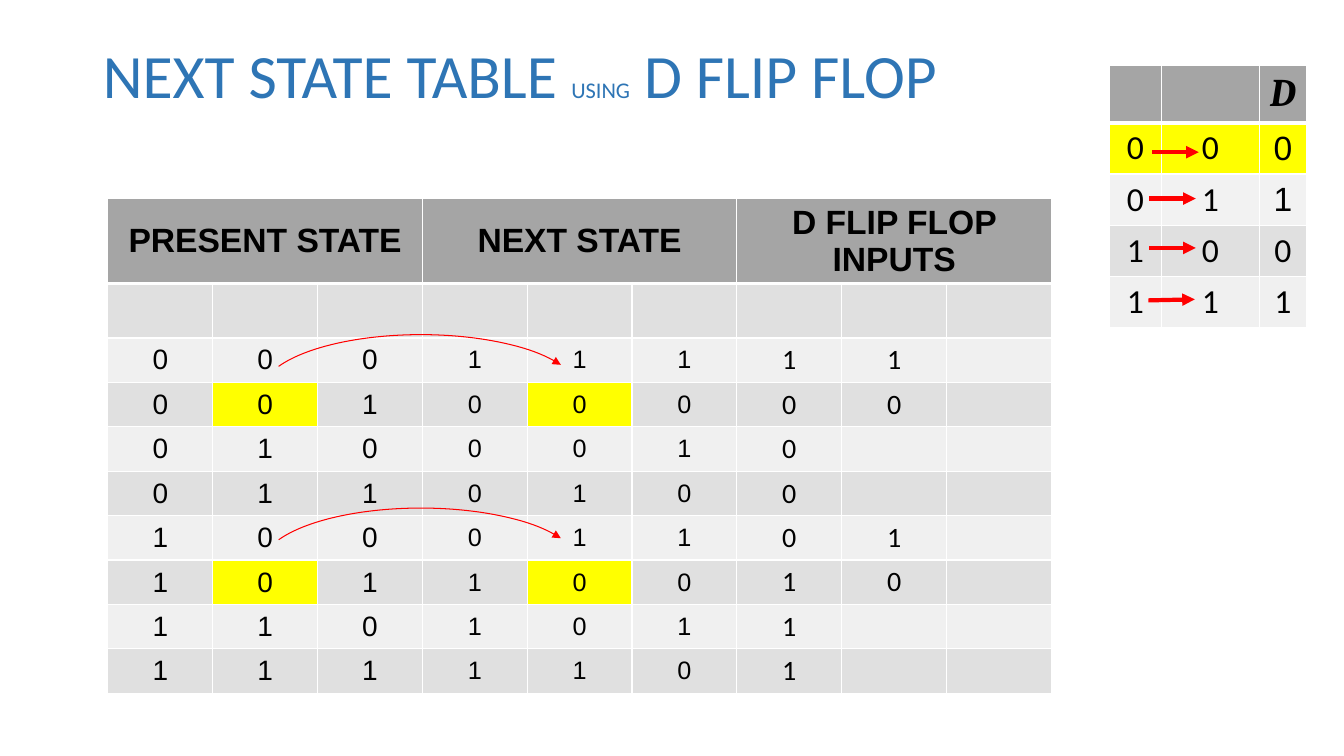
from lxml.etree import SubElement
from pptx import Presentation
from pptx.dml.color import RGBColor
from pptx.enum.shapes import MSO_CONNECTOR, MSO_SHAPE
from pptx.enum.text import MSO_ANCHOR, MSO_AUTO_SIZE, PP_ALIGN
from pptx.oxml.ns import qn
from pptx.util import Inches, Pt

COLORS = {
    "title": "2E75B5",
    "header": "A5A5A5",
    "dark": "E0E0E0",
    "light": "F0F0F0",
    "pale": "F2F2F2",
    "highlight": "FFFF00",
    "arrow": "FF0000",
    "text": "000000",
    "border": "FFFFFF",
}
SLIDE_W, SLIDE_H = 13.33, 7.5
STATE_LEFT, STATE_TOP, COL, ROW = 1.07, 1.97, 1.04, 0.44
HEADER_H, LABEL_H = 0.83, 0.54
DATA_TOP = STATE_TOP + HEADER_H + LABEL_H
RULE_LEFT, RULE_TOP, RULE_HEAD, RULE_ROW = 11, 0.65, 0.57, 0.5


def style_cell(cell, row, fill, text="", font="Calibri", size=20, bold=False):
    props = cell._tc.get_or_add_tcPr()
    widths = {"L": 1, "R": 1, "T": 3 if row == 1 else 1, "B": 3 if row == 0 else 1}
    for side, width in widths.items():
        edge = SubElement(props, qn(f"a:ln{side}"), w=str(Pt(width)))
        paint = SubElement(edge, qn("a:solidFill"))
        SubElement(paint, qn("a:srgbClr"), val=COLORS["border"])
    cell.fill.solid()
    cell.fill.fore_color.rgb = RGBColor.from_string(COLORS[fill])
    cell.vertical_anchor = MSO_ANCHOR.MIDDLE
    if text:
        paragraph = cell.text_frame.paragraphs[0]
        paragraph.alignment = PP_ALIGN.CENTER
        run = paragraph.add_run()
        run.text = text
        run.font.name, run.font.size, run.font.bold = font, Pt(size), bold
        run.font.color.rgb = RGBColor.from_string(COLORS["text"])
        return run


def style_arrow(arrow, width):
    arrow.line.color.rgb = RGBColor.from_string(COLORS["arrow"])
    arrow.line.width = Pt(width)
    SubElement(arrow.line._get_or_add_ln(), qn("a:tailEnd"), type="triangle")


deck = Presentation()
deck.slide_width, deck.slide_height = Inches(SLIDE_W), Inches(SLIDE_H)
slide = deck.slides.add_slide(deck.slide_layouts[5])

heading = slide.shapes.title
heading.left, heading.top = Inches(0.92), Inches(0.4)
heading.width, heading.height = Inches(11.5), Inches(1.45)
heading.text_frame.word_wrap = True
heading.text_frame.auto_size = MSO_AUTO_SIZE.NONE
heading.text_frame.vertical_anchor = MSO_ANCHOR.TOP
heading_line = heading.text_frame.paragraphs[0]
heading_line.alignment = PP_ALIGN.LEFT
heading_line.line_spacing = 0.9
for words, size in (("NEXT STATE TABLE ", 44), ("USING", 16), (" D FLIP FLOP", 44)):
    run = heading_line.add_run()
    run.text = words
    run.font.name, run.font.size = "Calibri", Pt(size)
    run.font.color.rgb = RGBColor.from_string(COLORS["title"])

rule_columns = (0.52, 0.97, 0.47)
rules = ("000", "011", "100", "111")
rule_fills = ("highlight", "pale", "dark", "light")
rule_table = slide.shapes.add_table(
    len(rules) + 1, len(rule_columns), Inches(RULE_LEFT), Inches(RULE_TOP),
    Inches(sum(rule_columns)), Inches(RULE_HEAD + RULE_ROW * len(rules))).table
for column, width in zip(rule_table.columns, rule_columns):
    column.width = Inches(width)
rule_table.rows[0].height = Inches(RULE_HEAD)
for c, label in enumerate(("", "", "D")):
    run = style_cell(rule_table.cell(0, c), 0, "header", label, "Cambria", 28, True)
    if run:
        run.font.italic = True
for r, (bits, fill) in enumerate(zip(rules, rule_fills), 1):
    rule_table.rows[r].height = Inches(RULE_ROW)
    for c, bit in enumerate(bits):
        font = "Arial" if c == 2 and r < 3 else "Calibri"
        style_cell(rule_table.cell(r, c), r, fill, bit, font, 24)

rule_arrows = ((0.43, 0.58, 0.58), (0.4, 1.5, 1.5), (0.4, 2.48, 2.48), (0.39, 3.52, 3.5))
for offset, start, end in rule_arrows:
    first_y, last_y = (RULE_TOP + RULE_HEAD + RULE_ROW * rows for rows in (start, end))
    transition = slide.shapes.add_connector(
        MSO_CONNECTOR.STRAIGHT, Inches(RULE_LEFT + offset), Inches(first_y),
        Inches(RULE_LEFT + offset + 0.46), Inches(last_y))
    style_arrow(transition, 3)
    SubElement(transition._element.spPr, qn("a:effectLst"))

states = ("00011111", "00100000", "0100010", "0110100",
          "10001101", "10110010", "1101011", "1111101")
highlights = {(r, c) for r in (1, 5) for c in (1, 4)}
state_table = slide.shapes.add_table(
    len(states) + 2, 9, Inches(STATE_LEFT), Inches(STATE_TOP), Inches(9 * COL),
    Inches(HEADER_H + LABEL_H + ROW * len(states))).table
for column in state_table.columns:
    column.width = Inches(COL)
for row, height in zip(state_table.rows, [HEADER_H, LABEL_H] + [ROW] * len(states)):
    row.height = Inches(height)
for group, label in enumerate(("PRESENT STATE", "NEXT STATE", "D FLIP FLOP INPUTS")):
    first = 3 * group
    state_table.cell(0, first).merge(state_table.cell(0, first + 2))
    for c in range(first, first + 3):
        style_cell(state_table.cell(0, c), 0, "header", label if c == first else "",
                   "Arial", 24, True)
for c in range(9):
    style_cell(state_table.cell(1, c), 1, "dark")
group_fonts = (("Arial", 20), ("Arial", 18), ("Calibri", 20))
for r, bits in enumerate(states):
    band = "dark" if r % 2 else "light"
    for c, bit in enumerate(bits.ljust(9)):
        fill = "highlight" if (r, c) in highlights else band
        style_cell(state_table.cell(r + 2, c), r + 2, fill, bit.strip(), *group_fonts[c // 3])

for rows_down in (0, 3.91):
    state_arc = slide.shapes.add_shape(
        MSO_SHAPE.ARC, Inches(STATE_LEFT + 1.46 * COL),
        Inches(DATA_TOP - 0.02 + rows_down * ROW), Inches(3.05 * COL), Inches(1.16))
    state_arc.adjustments[0], state_arc.adjustments[1] = 114.38, 209.15
    state_arc.shadow.inherit = False
    state_arc.fill.background()
    style_arrow(state_arc, 0.75)

deck.save("out.pptx")
